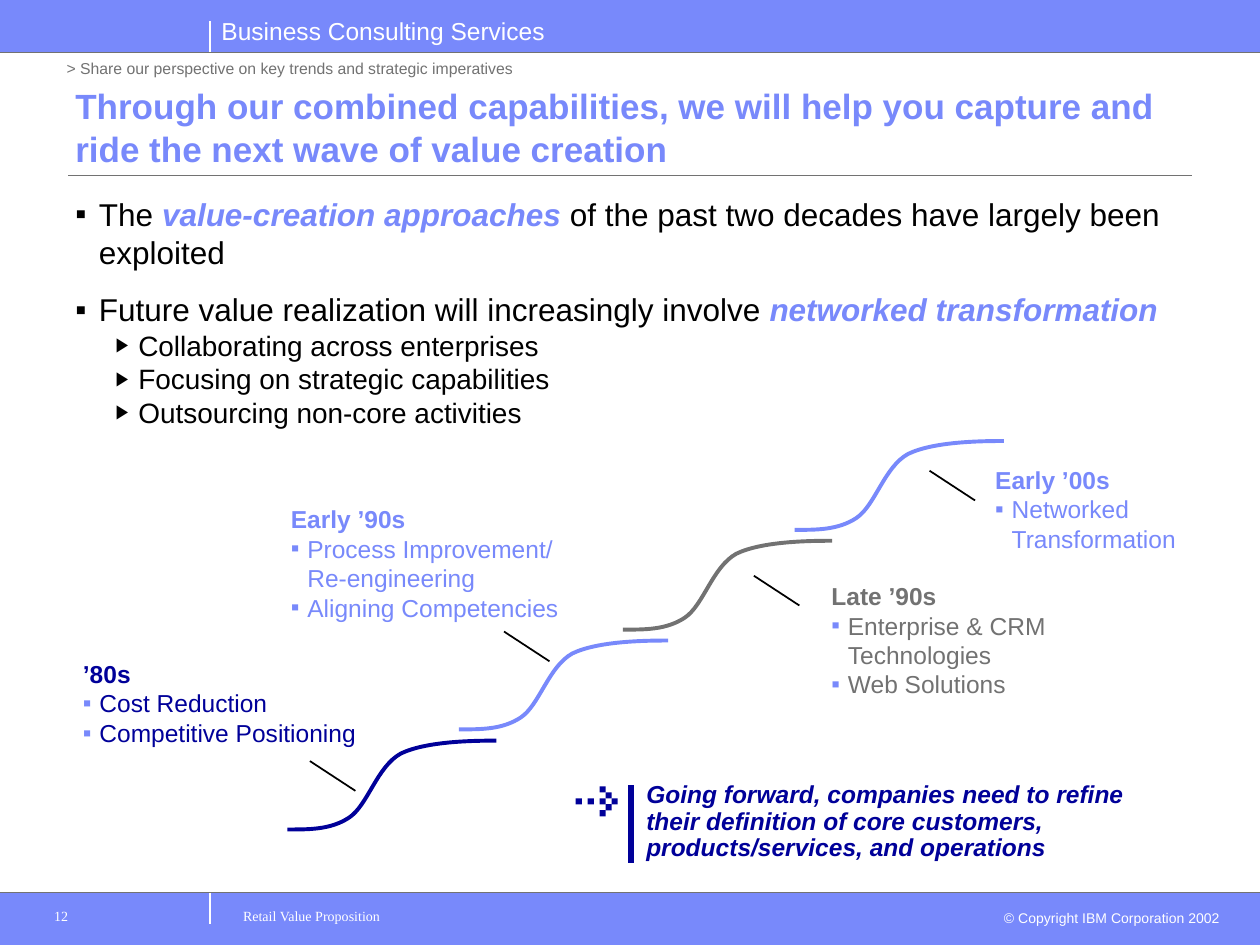
from dataclasses import dataclass

from lxml.etree import SubElement
from pptx import Presentation
from pptx.dml.color import RGBColor
from pptx.enum.shapes import MSO_CONNECTOR, MSO_SHAPE
from pptx.enum.text import MSO_ANCHOR, PP_ALIGN
from pptx.oxml.ns import qn
from pptx.util import Pt


@dataclass(frozen=True)
class Theme:
    blue: str = "7889FB"
    navy: str = "000099"
    gray: str = "727272"
    black: str = "000000"
    white: str = "FFFFFF"
    sans: str = "Arial"
    serif: str = "Times New Roman"
    title: int = 20
    body: int = 18
    detail: int = 16
    label: int = 14
    trail: int = 9
    footer: int = 8


theme = Theme()
presentation = Presentation()
presentation.slide_width = Pt(720)
presentation.slide_height = Pt(540)
slide = presentation.slides.add_slide(presentation.slide_layouts[6])
shapes = slide.shapes


def add_text_box(left, top, width, height, anchor=MSO_ANCHOR.TOP, wrap=True):
    frame = shapes.add_textbox(Pt(left), Pt(top), Pt(width), Pt(height)).text_frame
    frame.word_wrap = wrap
    frame.vertical_anchor = anchor
    return frame


def add_paragraph(frame, text, size, color, font=theme.sans, bold=False, italic=False,
                  bullet=None, bullet_color=theme.black, bullet_size=100,
                  margin=0, hanging=0, before=0):
    first = frame.paragraphs[0]
    paragraph = frame.add_paragraph() if first.runs else first
    paragraph.text = text
    paragraph.space_before = Pt(before)
    if bullet:
        properties = paragraph._p.get_or_add_pPr()
        properties.set("marL", str(Pt(margin)))
        properties.set("indent", str(-Pt(hanging)))
        SubElement(SubElement(properties, qn("a:buClr")), qn("a:srgbClr"), val=bullet_color)
        SubElement(properties, qn("a:buSzPct"), val=str(bullet_size * 1000))
        SubElement(properties, qn("a:buFont"), typeface=theme.sans)
        SubElement(properties, qn("a:buChar"), char=bullet)
    paragraph.font.name = font
    paragraph.font.size = Pt(size)
    paragraph.font.bold = bold
    paragraph.font.italic = italic
    paragraph.font.color.rgb = RGBColor.from_string(color)
    return paragraph


bands = [(0, 0, 720, 30.2, theme.blue), (0, 509.8, 720, 30.2, theme.blue)]
arrow_cells = [(0, 2), (2, 2), (4, 0), (4, 2), (4, 4), (5, 1), (5, 3), (6, 2)]
arrow_dots = [(329 + 3.42 * column, 449.3 + 3.42 * row, 3.5, 3.5, theme.navy)
              for column, row in arrow_cells]
for left, top, width, height, color in bands + arrow_dots:
    rectangle = shapes.add_shape(MSO_SHAPE.RECTANGLE, Pt(left), Pt(top), Pt(width), Pt(height))
    rectangle.shadow.inherit = False
    rectangle.fill.solid()
    rectangle.fill.fore_color.rgb = RGBColor.from_string(color)
    rectangle.line.fill.background()

rules = [
    (120, 30.2, 120, 12, theme.white, 0.75),
    (120, 528, 120, 509.8, theme.white, 0.75),
    (38.9, 100.1, 681.1, 100.1, theme.gray, 0.75),
    (0, 30.2, 720, 30.2, theme.gray, 0.5),
    (0, 509.8, 720, 509.8, theme.gray, 0.5),
    (360.6, 448.6, 360.6, 493.2, theme.navy, 3.5),
]
leader_starts = [(177.1, 434.9), (288, 360.9), (430.8, 329), (531.2, 269)]
leaders = [(x, y, x + 26, y + 17, theme.black, 1) for x, y in leader_starts]
for start_x, start_y, end_x, end_y, color, weight in rules + leaders:
    line = shapes.add_connector(MSO_CONNECTOR.STRAIGHT,
                                Pt(start_x), Pt(start_y), Pt(end_x), Pt(end_y))
    SubElement(line._element.spPr, qn("a:effectLst"))
    line.line.color.rgb = RGBColor.from_string(color)
    line.line.width = Pt(weight)

wave_start = (0, 50.8)
wave_controls = [(12.4, 50.8), (24.7, 51), (35.3, 44), (46.1, 36.8), (51.1, 15),
                 (64.8, 7.4), (79.2, 0.4), (105.8, 0), (119.5, 0)]
waves = [(164.2, 423.2, theme.navy), (262.3, 366, theme.blue),
         (356, 309, theme.gray), (454.1, 252, theme.blue)]
for left, top, color in waves:
    builder = shapes.build_freeform(Pt(left + wave_start[0]), Pt(top + wave_start[1]))
    builder.add_line_segments([(Pt(left + x), Pt(top + y)) for x, y in wave_controls], close=False)
    wave = builder.convert_to_shape()
    segments = wave._element.findall(".//" + qn("a:lnTo"))
    outline = segments[0].getparent()
    for index, segment in enumerate(segments):
        if index % 3 == 0:
            curve = SubElement(outline, qn("a:cubicBezTo"))
        curve.append(segment[0])
        outline.remove(segment)
    wave.shadow.inherit = False
    wave.fill.background()
    wave.line.color.rgb = RGBColor.from_string(color)
    wave.line.width = Pt(2.25)

add_paragraph(add_text_box(119.5, 5.8, 199.4, 24.5, wrap=False),
              "Business Consulting Services", theme.label, theme.white)
add_paragraph(add_text_box(31, 30.2, 324, 18),
              "> Share our perspective on key trends and strategic imperatives",
              theme.trail, theme.gray)
add_paragraph(add_text_box(36, 41.8, 648, 58.3, MSO_ANCHOR.BOTTOM),
              "Through our combined capabilities, we will help you capture and "
              "ride the next wave of value creation", theme.title, theme.blue, bold=True)
add_paragraph(add_text_box(23.8, 514.8, 95.8, 25.2), "12",
              theme.footer, theme.white, theme.serif)
add_paragraph(add_text_box(131.8, 514.8, 324, 25.2), "Retail Value Proposition",
              theme.footer, theme.white, theme.serif)
copyright_line = add_paragraph(add_text_box(563.8, 516.2, 140.4, 17.3),
                               "© Copyright IBM Corporation 2002", theme.footer, theme.white)
copyright_line.alignment = PP_ALIGN.RIGHT

body = add_text_box(36, 108, 648, 374.4)
statements = [
    ("The ", "value-creation approaches", " of the past two decades have largely been exploited"),
    ("Future value realization will increasingly involve ", "networked transformation", ""),
]
for index, (opening, emphasis, ending) in enumerate(statements):
    paragraph = add_paragraph(body, opening, theme.body, theme.black, bullet="▪",
                              margin=13.5, hanging=13.5, before=11.2 * index)
    run = paragraph.add_run()
    run.text = emphasis
    run.font.bold = True
    run.font.italic = True
    run.font.color.rgb = RGBColor.from_string(theme.blue)
    if ending:
        paragraph.add_run().text = ending
for text in ("Collaborating across enterprises", "Focusing on strategic capabilities",
             "Outsourcing non-core activities"):
    paragraph = add_paragraph(body, text, theme.detail, theme.black, bullet="▶",
                              bullet_size=70, margin=36, hanging=13)
    paragraph.level = 1

eras = [
    (40.3, 373, 181.4, 57.6, theme.navy, "’80s", ["Cost Reduction", "Competitive Positioning"]),
    (159.1, 284.4, 208.1, 74.9, theme.blue, "Early ’90s",
     ["Process Improvement/\vRe-engineering", "Aligning Competencies"]),
    (468, 328.3, 190.8, 74.9, theme.gray, "Late ’90s",
     ["Enterprise & CRM Technologies", "Web Solutions"]),
    (561.6, 262.1, 131, 57.6, theme.blue, "Early ’00s", ["Networked Transformation"]),
]
for left, top, width, height, color, era, themes in eras:
    frame = add_text_box(left, top, width, height, MSO_ANCHOR.MIDDLE)
    add_paragraph(frame, era, theme.label, color, bold=True)
    for text in themes:
        add_paragraph(frame, text, theme.label, color, bullet="▪",
                      bullet_color=theme.blue, margin=9.4, hanging=9.4)

conclusion = add_text_box(362.2, 445.7, 323.3, 51.8, MSO_ANCHOR.MIDDLE)
conclusion.margin_bottom = Pt(7.2)
paragraph = add_paragraph(conclusion,
                          "Going forward, companies need to refine\vtheir definition of core "
                          "customers, products/services, and operations",
                          theme.label, theme.navy, bold=True, italic=True)
paragraph.line_spacing = 0.9

presentation.save("out.pptx")
